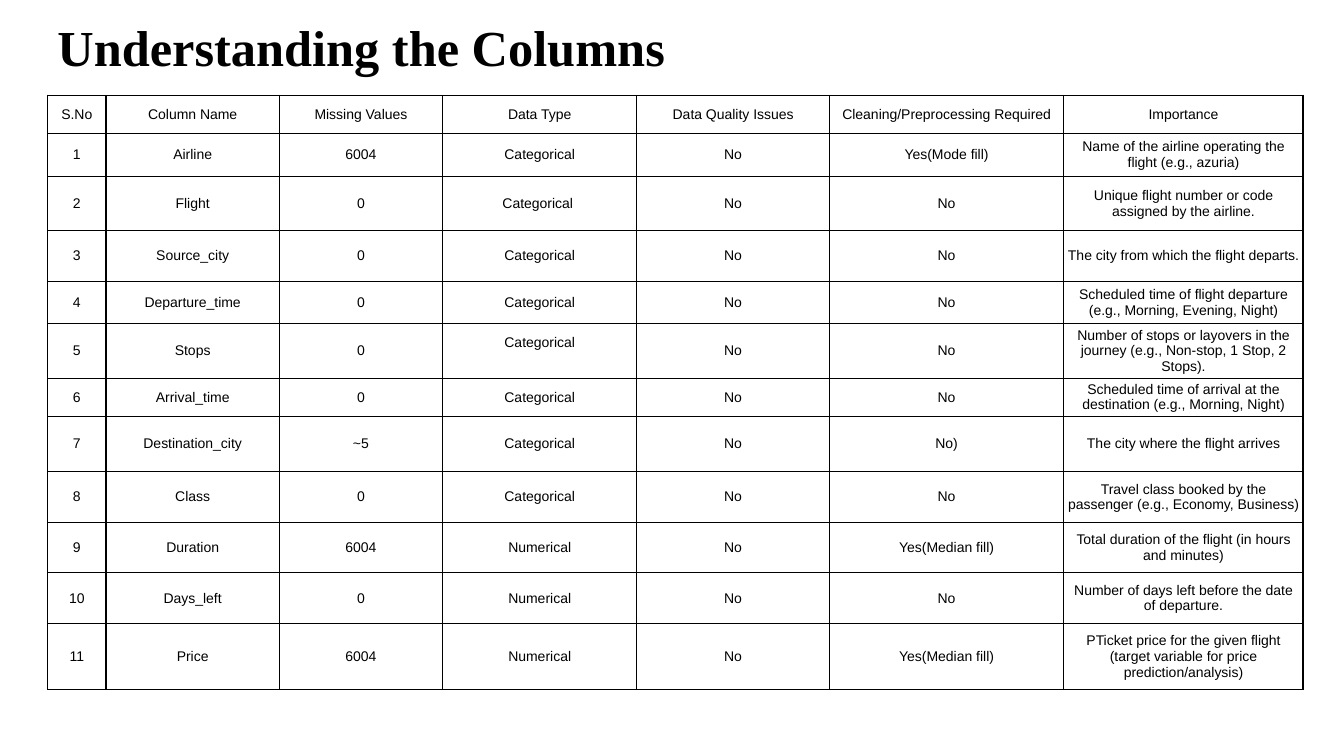
from lxml import etree
from pptx import Presentation
from pptx.dml.color import RGBColor
from pptx.enum.text import MSO_ANCHOR, MSO_AUTO_SIZE, PP_ALIGN
from pptx.oxml.ns import qn
from pptx.util import Cm, Pt

BLACK = RGBColor(0, 0, 0)
CENTER = PP_ALIGN.CENTER
MIDDLE = MSO_ANCHOR.MIDDLE
GROW = MSO_AUTO_SIZE.SHAPE_TO_FIT_TEXT

COLUMN_WIDTHS = [1.47, 4.37, 4.11, 4.9, 4.85, 5.91, 6.03]
ROW_HEIGHTS = [0.97, 1.07, 1.38, 1.27, 1.07, 1.37, 0.97, 1.39, 1.28, 1.27, 1.28, 1.67]
HEADINGS = ["S.No", "Column Name", "Missing Values", "Data Type", "Data Quality Issues",
            "Cleaning/Preprocessing Required", "Importance"]
DATA_COLUMNS = [
    ("Airline", "6004", "Categorical", "No", "Yes(Mode fill)",
     "Name of the airline operating the flight (e.g., azuria)"),
    ("Flight", "0", "Categorical ", "No", "No",
     "Unique flight number or code assigned by the airline."),
    ("Source_city", "0", "Categorical", "No", "No",
     "The city from which the flight departs."),
    ("Departure_time", "0", "Categorical", "No", "No",
     "Scheduled time of flight departure (e.g., Morning, Evening, Night)"),
    ("Stops", "0", "Categorical", "No", "No",
     "Number of stops or layovers in the journey (e.g., Non-stop, 1 Stop, 2 Stops)."),
    ("Arrival_time", "0", "Categorical", "No", "No",
     "Scheduled time of arrival at the destination (e.g., Morning, Night)"),
    ("Destination_city", "~5", "Categorical", "No", "No)",
     "The city where the flight arrives"),
    ("Class", "0", "Categorical", "No", "No",
     "Travel class booked by the passenger (e.g., Economy, Business)"),
    ("Duration", "6004", "Numerical", "No", "Yes(Median fill)",
     "Total duration of the flight (in hours and minutes)"),
    ("Days_left", "0", "Numerical", "No", "No",
     "Number of days left before the date of departure."),
    ("Price", "6004", "Numerical", "No", "Yes(Median fill)",
     "PTicket price for the given flight (target variable for price prediction/analysis)"),
]
STOPS_ROW, DATA_TYPE_COLUMN = 5, 3


def format_font(paragraph, name, size, bold=False):
    """Style every run of a paragraph."""
    for run in paragraph.runs:
        run.font.name = name
        run.font.size = Pt(size)
        run.font.bold = bold
        run.font.color.rgb = BLACK


def add_borders(cell):
    """Draw a thin black line on the four sides of a cell."""
    properties = cell._tc.get_or_add_tcPr()
    for position, side in enumerate(("lnL", "lnR", "lnT", "lnB")):
        line = etree.Element(qn(f"a:{side}"), w=str(Pt(1)))
        fill = etree.SubElement(line, qn("a:solidFill"))
        etree.SubElement(fill, qn("a:srgbClr"), val=str(BLACK))
        properties.insert(position, line)


def fill_cell(cell, text):
    """Write centred text into a bordered, unfilled cell."""
    cell.text_frame.text = text
    cell.vertical_anchor = MIDDLE
    cell.margin_left = cell.margin_right = Cm(0.09)
    cell.margin_top = cell.margin_bottom = Cm(0.05)
    cell.fill.background()
    paragraph = cell.text_frame.paragraphs[0]
    paragraph.alignment = CENTER
    format_font(paragraph, "Arial", 10)
    add_borders(cell)


def add_title(slide, left, top, width, height):
    """Place the slide title in the given box."""
    text_frame = slide.shapes.add_textbox(left, top, width, height).text_frame
    text_frame.word_wrap = True
    text_frame.auto_size = GROW
    text_frame.text = "Understanding the Columns"
    format_font(text_frame.paragraphs[0], "Times New Roman", 36, bold=True)


def add_column_table(slide, left, top, width, height):
    """Place the table of data columns in the given box."""
    rows = [HEADINGS] + [(str(number), *values) for number, values in enumerate(DATA_COLUMNS, 1)]
    table = slide.shapes.add_table(len(rows), len(HEADINGS), left, top, width, height).table
    table.first_row = table.horz_banding = False
    for column, share in zip(table.columns, COLUMN_WIDTHS):
        column.width = int(width * share / sum(COLUMN_WIDTHS))
    for row, share in zip(table.rows, ROW_HEIGHTS):
        row.height = int(height * share / sum(ROW_HEIGHTS))
    for row, texts in zip(table.rows, rows):
        for cell, text in zip(row.cells, texts):
            fill_cell(cell, text)
    table.cell(STOPS_ROW, DATA_TYPE_COLUMN).margin_bottom = Cm(0.45)


def main():
    """Build and save the presentation."""
    presentation = Presentation()
    presentation.slide_width = Cm(33.87)
    presentation.slide_height = Cm(19.05)
    slide = presentation.slides.add_slide(presentation.slide_layouts[6])
    add_title(slide, Cm(1.2), Cm(0.28), Cm(18.72), Cm(1.8))
    add_column_table(slide, Cm(1.2), Cm(2.4), Cm(31.64), Cm(14.98))
    presentation.save("out.pptx")


if __name__ == "__main__":
    main()
